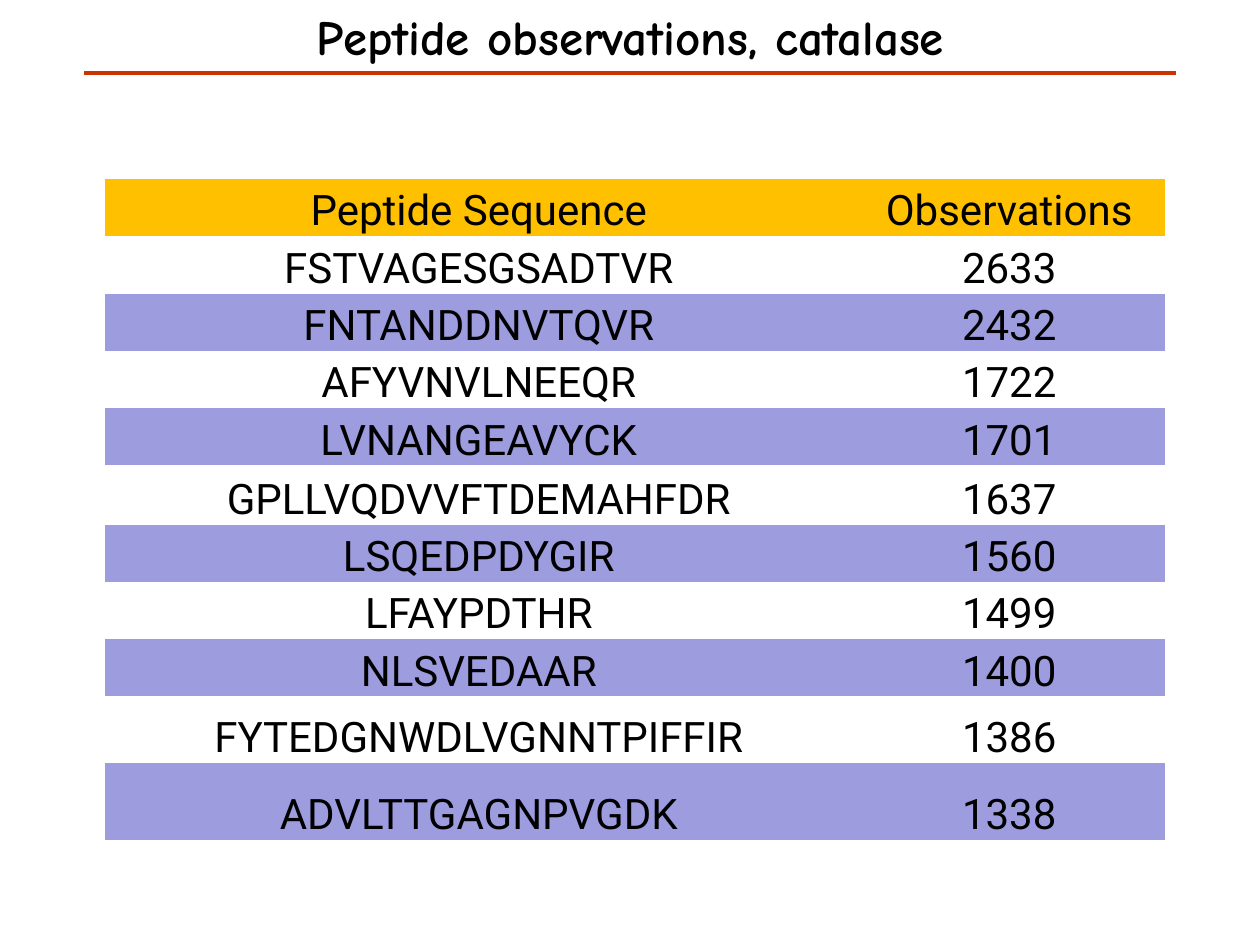
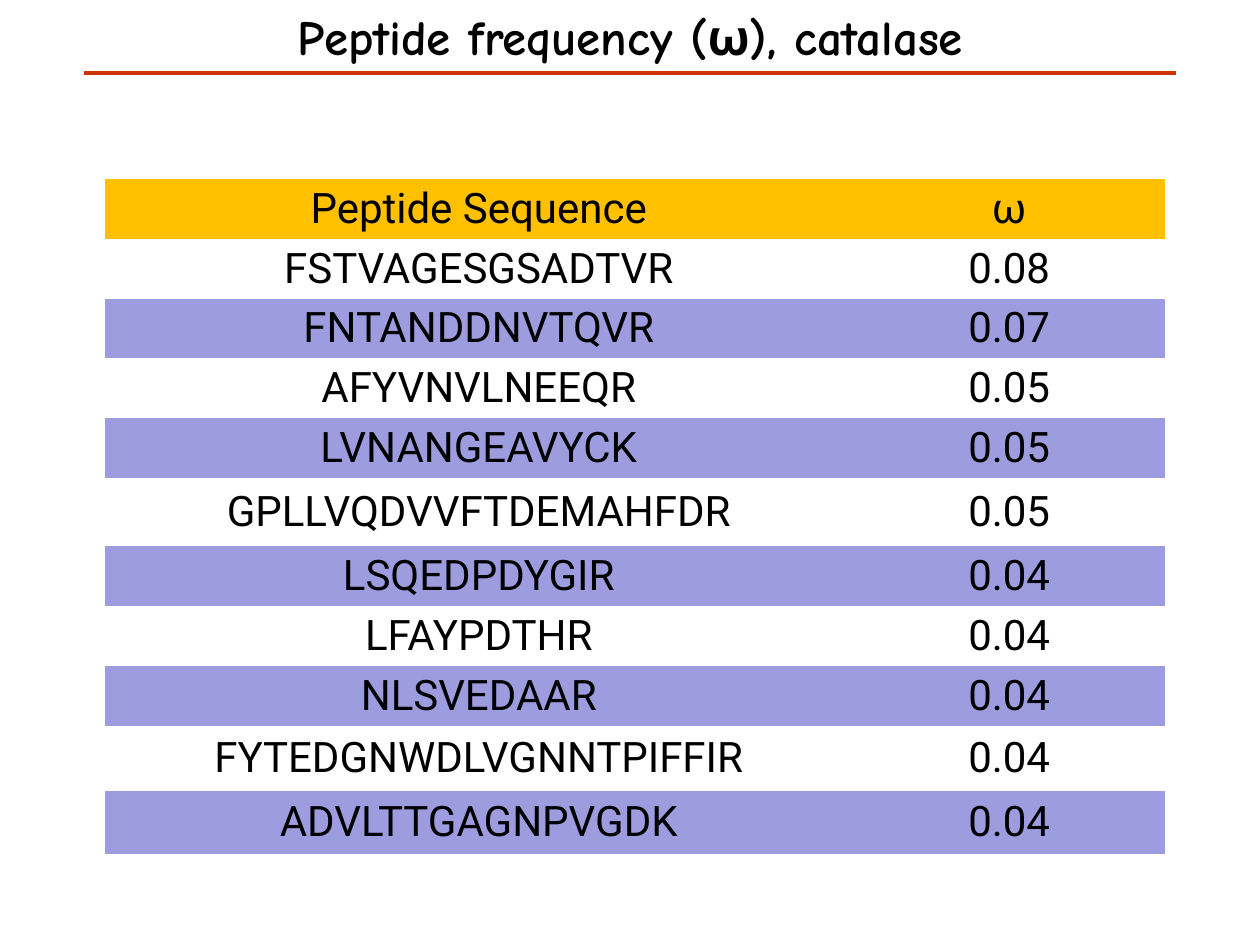
from pptx import Presentation
from pptx.dml.color import RGBColor
from pptx.enum import shapes, text
from pptx.oxml import ns
from pptx.util import Inches, Pt
from lxml import etree

# Shared look
BLACK = RGBColor(0x00, 0x00, 0x00)
RULE_RED = RGBColor(0xCC, 0x33, 0x00)
HEADER_GOLD = RGBColor(0xFF, 0xC0, 0x00)
BAND_LILAC = RGBColor(0x9C, 0x9C, 0xDF)
TITLE_FONT = {"name": "Comic Neue", "size": Pt(28), "bold": True}
CELL_FONT = {"name": "Roboto", "size": Pt(24), "bold": False}
NO_GRID_STYLE = "{2D5ABB26-0587-4C30-8999-92F81FD0307C}"
COLUMN_WIDTHS = (5.94, 2.48)

PEPTIDES = (
    "FSTVAGESGSADTVR", "FNTANDDNVTQVR", "AFYVNVLNEEQR", "LVNANGEAVYCK",
    "GPLLVQDVVFTDEMAHFDR", "LSQEDPDYGIR", "LFAYPDTHR", "NLSVEDAAR",
    "FYTEDGNWDLVGNNTPIFFIR", "ADVLTTGAGNPVGDK",
)

# tall_rows maps a row number to its height; the other rows share the rest
PAGES = (
    {"title": "Peptide observations, catalase",
     "heading": "Observations",
     "values": "2633 2432 1722 1701 1637 1560 1499 1400 1386 1338".split(),
     "box": (0.83, 1.42, 8.42, 5.25),
     "tall_rows": {5: 0.47, 9: 0.53, 10: 0.61},
     "anchor": text.MSO_ANCHOR.BOTTOM,
     "space_after": Pt(0)},
    {"title": "Peptide frequency (ω), catalase",
     "heading": "ω",
     "values": "0.08 0.07 0.05 0.05 0.05 0.04 0.04 0.04 0.04 0.04".split(),
     "box": (0.83, 1.42, 8.42, 5.36),
     "tall_rows": {5: 0.54, 9: 0.52, 10: 0.5},
     "anchor": text.MSO_ANCHOR.MIDDLE,
     "space_after": Pt(6)},
)


def set_values(target, values):
    for name, value in values.items():
        setattr(target, name, value)


def write_centred(para, words, font):
    para.alignment = text.PP_ALIGN.CENTER
    span = para.add_run()
    span.text = words
    set_values(span.font, font)
    span.font.color.rgb = BLACK


def add_title(page, words, box):
    """Title across the box, with a red rule just below it."""
    left, top, width, height = box
    title = page.shapes.title
    set_values(title, {"left": Inches(left), "top": Inches(top),
                       "width": Inches(width), "height": Inches(height)})
    set_values(title.text_frame, {
        "word_wrap": True,
        "auto_size": text.MSO_AUTO_SIZE.SHAPE_TO_FIT_TEXT,
        "vertical_anchor": text.MSO_ANCHOR.TOP})
    write_centred(title.text_frame.paragraphs[0], words, TITLE_FONT)

    inset, rule_y = 0.67, top + height + 0.01
    rule = page.shapes.add_connector(
        shapes.MSO_CONNECTOR.STRAIGHT, Inches(left + inset), Inches(rule_y),
        Inches(left + width - inset), Inches(rule_y))
    rule.line.color.rgb = RULE_RED
    rule.line.width = Pt(2.5)
    etree.SubElement(rule._element.spPr, ns.qn("a:effectLst"))


def fill_row(cell, row_number):
    """Gold header, then lilac on every second peptide."""
    if row_number and row_number % 2:
        cell.fill.background()
    else:
        cell.fill.solid()
        cell.fill.fore_color.rgb = BAND_LILAC if row_number else HEADER_GOLD


def add_peptide_table(page, content):
    rows = [("Peptide Sequence", content["heading"]),
            *zip(PEPTIDES, content["values"])]
    box, tall_rows = content["box"], content["tall_rows"]
    frame = page.shapes.add_table(len(rows), len(COLUMN_WIDTHS),
                                  *map(Inches, box))
    table = frame.table
    set_values(table, {"first_row": False, "horz_banding": False})
    table._tbl.tblPr.find(ns.qn("a:tableStyleId")).text = NO_GRID_STYLE

    for column, width in zip(table.columns, COLUMN_WIDTHS):
        column.width = Inches(width)
    usual = (box[3] - sum(tall_rows.values())) / (len(rows) - len(tall_rows))

    for number, entries in enumerate(rows):
        table.rows[number].height = Inches(tall_rows.get(number, usual))
        for column, words in enumerate(entries):
            cell = table.cell(number, column)
            set_values(cell, {"margin_left": 0, "margin_right": 0,
                              "margin_top": 0, "margin_bottom": 0,
                              "vertical_anchor": content["anchor"]})
            fill_row(cell, number)
            para = cell.text_frame.paragraphs[0]
            para.space_after = content["space_after"]
            write_centred(para, words, CELL_FONT)


def main():
    deck = Presentation()
    deck.slide_width, deck.slide_height = Inches(10), Inches(7.5)
    title_only = deck.slide_layouts.get_by_name("Title Only")
    for content in PAGES:
        page = deck.slides.add_slide(title_only)
        add_title(page, content["title"], (0, 0, 10, 0.57))
        add_peptide_table(page, content)
    deck.save("out.pptx")


if __name__ == "__main__":
    main()
